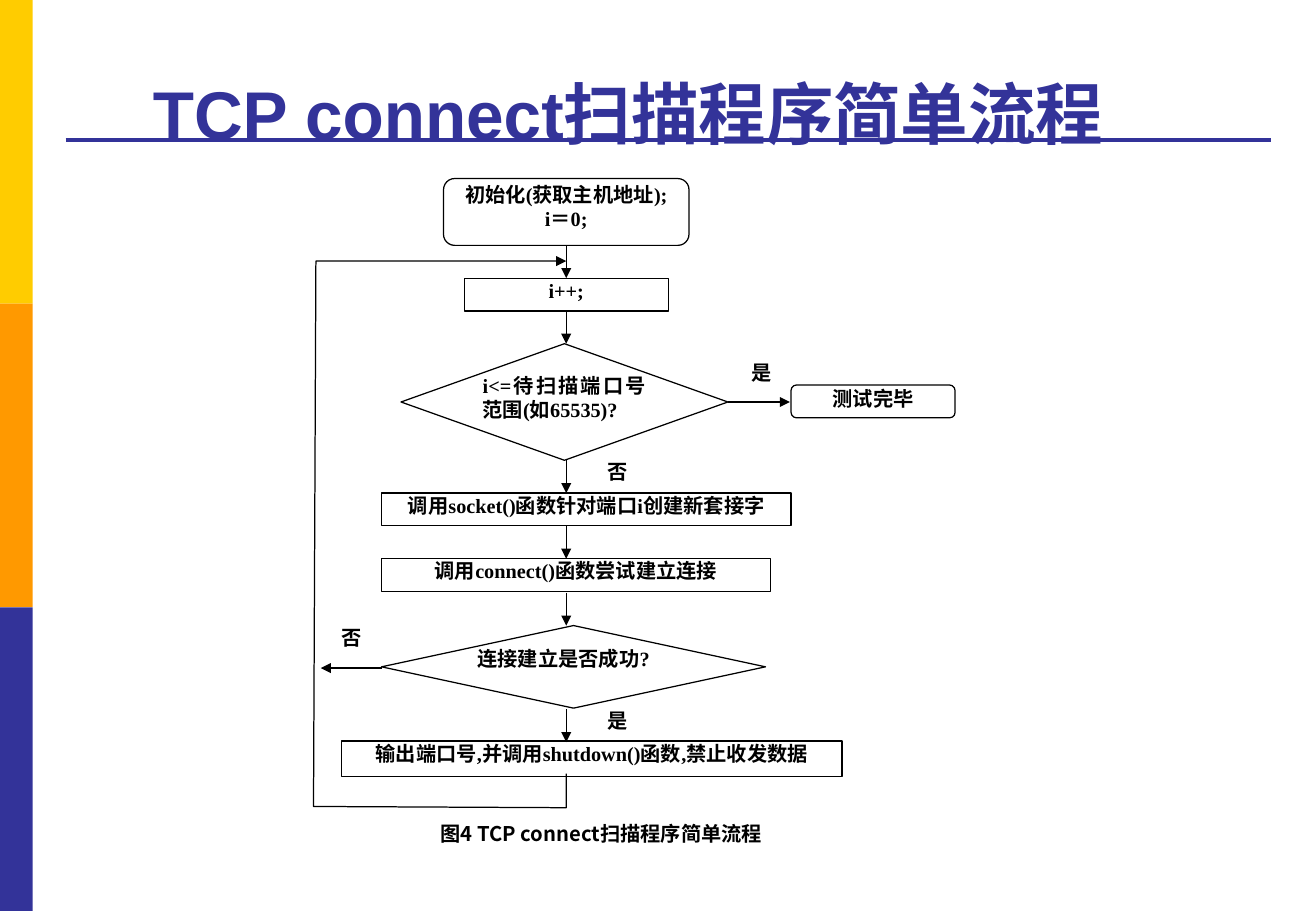
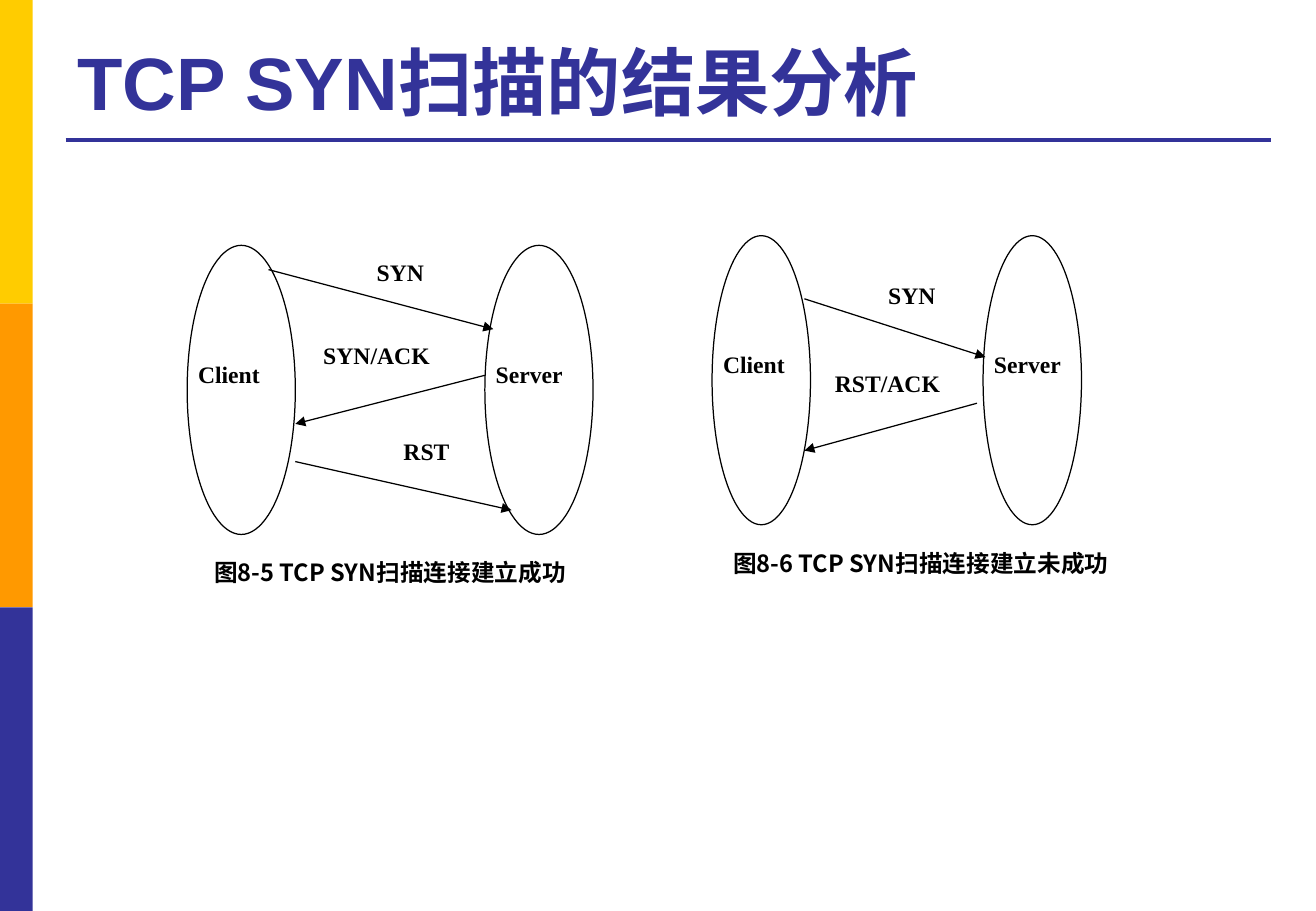
import dataclasses

import pptx
import pptx.dml.color
import pptx.enum.shapes
import pptx.enum.text
import pptx.oxml.ns
import pptx.util
from lxml import etree

Inches = pptx.util.Inches
Pt = pptx.util.Pt
RGB = pptx.dml.color.RGBColor.from_string
SHAPE = pptx.enum.shapes.MSO_SHAPE
ANCHOR = pptx.enum.text.MSO_ANCHOR
ALIGN = pptx.enum.text.PP_ALIGN
qn = pptx.oxml.ns.qn


@dataclasses.dataclass(frozen=True)
class Theme:
    bands: tuple = ("FFCC00", "FF9900", "333399")
    accent: str = "333399"
    ink: str = "000000"
    paper: str = "FFFFFF"
    title_font: str = "Arial"
    node_font: str = "Times New Roman"
    cjk_font: str = "Noto Sans CJK SC"
    flow_title_size: int = 40
    results_title_size: int = 44
    flow_size: int = 12
    exchange_size: int = 14
    thin: float = 0.75
    rule: float = 2.25


class Deck:
    def __init__(self, theme):
        self.theme = theme
        self.file = pptx.Presentation()
        self.file.slide_width = Inches(10.83)
        self.file.slide_height = Inches(7.5)
        self.slide = None

    def new_slide(self, title, box, size):
        theme = self.theme
        self.slide = self.file.slides.add_slide(self.file.slide_layouts[6])
        for order, color in enumerate(theme.bands):
            self.node((0, 2.5 * order, 0.27, 2.5), fill=color, outlined=False)
        self.line((0.54, 1.15), (10.46, 1.15), theme.accent, theme.rule, arrow=False)
        heading = self.slide.shapes.add_textbox(*map(Inches, box))
        self.set_text(heading.text_frame, title, size, theme.title_font, ALIGN.LEFT,
                      theme.accent, {"word_wrap": True, "vertical_anchor": ANCHOR.BOTTOM})

    def set_text(self, frame, text, size, font, align, color, frame_format):
        for name, value in frame_format.items():
            setattr(frame, name, value)
        frame.text = text
        font_format = {"size": Pt(size), "name": font, "bold": True}
        for paragraph in frame.paragraphs:
            paragraph.alignment = align
            for run in paragraph.runs:
                for name, value in font_format.items():
                    setattr(run.font, name, value)
                run.font.color.rgb = RGB(color)
                etree.SubElement(run._r.get_or_add_rPr(), qn("a:ea"),
                                 typeface=self.theme.cjk_font)

    def node(self, box, text="", size=None, kind=SHAPE.RECTANGLE, align=ALIGN.CENTER,
             font=None, fill=None, outlined=True):
        theme = self.theme
        node = self.slide.shapes.add_shape(kind, *map(Inches, box))
        node.shadow.inherit = False
        node.fill.solid()
        node.fill.fore_color.rgb = RGB(fill or theme.paper)
        if outlined:
            self.stroke(node, theme.ink, theme.thin)
        else:
            node.line.fill.background()
        if text:
            margins = ("margin_left", "margin_top", "margin_right", "margin_bottom")
            frame_format = dict.fromkeys(margins, 0)
            frame_format.update(word_wrap=True, vertical_anchor=ANCHOR.TOP)
            self.set_text(node.text_frame, text, size, font or theme.node_font, align,
                          theme.ink, frame_format)

    def label(self, box, text, size, align=ALIGN.CENTER, font=None):
        self.node(box, text, size, align=align, font=font, outlined=False)

    def stroke(self, item, color, width, arrow=False):
        item.line.color.rgb = RGB(color)
        item.line.width = Pt(width)
        if arrow:
            outline = item._element.spPr.find(qn("a:ln"))
            etree.SubElement(outline, qn("a:tailEnd"), type="triangle")

    def line(self, start, end, color=None, width=None, arrow=True):
        line = self.slide.shapes.add_connector(
            pptx.enum.shapes.MSO_CONNECTOR.STRAIGHT, *map(Inches, start + end))
        self.stroke(line, color or self.theme.ink, width or self.theme.thin, arrow)
        etree.SubElement(line._element.spPr, qn("a:effectLst"))

    def loop_back(self, points):
        corners = [(Inches(x), Inches(y)) for x, y in points]
        builder = self.slide.shapes.build_freeform(*corners[0])
        builder.add_line_segments(corners[1:], close=False)
        loop = builder.convert_to_shape()
        loop.shadow.inherit = False
        loop.fill.background()
        self.stroke(loop, self.theme.ink, self.theme.thin, arrow=True)


def scan_flow(deck):
    theme = deck.theme
    size = theme.flow_size
    deck.new_slide("TCP connect扫描程序简单流程", (1.16, 0.21, 8.5, 1.1),
                   theme.flow_title_size)

    for left, top, answer in ((6.01, 2.97, "是"), (4.83, 3.78, "否"),
                              (2.64, 5.15, "否"), (4.83, 5.83, "是")):
        deck.label((left, top, 0.51, 0.27), answer, size)

    rounded = SHAPE.FLOWCHART_ALTERNATE_PROCESS
    steps = (
        ((3.65, 1.47, 2.02, 0.55), "初始化(获取主机地址);\ni＝0;", rounded),
        ((3.82, 2.29, 1.68, 0.27), "i++;", SHAPE.RECTANGLE),
        ((6.51, 3.17, 1.35, 0.27), "测试完毕", rounded),
        ((3.14, 4.06, 3.37, 0.27), "调用socket()函数针对端口i创建新套接字", SHAPE.RECTANGLE),
        ((3.14, 4.6, 3.2, 0.27), "调用connect()函数尝试建立连接", SHAPE.RECTANGLE),
        ((2.81, 6.1, 4.12, 0.29), "输出端口号,并调用shutdown()函数,禁止收发数据",
         SHAPE.RECTANGLE),
    )
    for box, text, kind in steps:
        deck.node(box, text, size, kind)

    decisions = (
        ((3.3, 2.83, 2.69, 0.96), "i<=待扫描端口号范围(如65535)?"),
        ((3.14, 5.15, 3.16, 0.68), "连接建立是否成功?"),
    )
    for box, text in decisions:
        deck.node(box, text, size, SHAPE.FLOWCHART_DECISION, ALIGN.JUSTIFY)

    spine = 4.66
    for top in (2.02, 2.56, 3.79, 4.33, 4.88, 5.84):
        deck.line((spine, top), (spine, top + 0.27))
    deck.line((5.99, 3.31), (6.5, 3.31))
    deck.line((3.14, 5.5), (2.64, 5.5))
    deck.loop_back(((spine, 6.37), (spine, 6.65), (2.58, 6.64), (2.6, 2.15), (spine, 2.15)))
    deck.label((3.35, 6.76, 3.2, 0.27), "图4 TCP connect扫描程序简单流程", size,
               font=theme.cjk_font)


def handshake(deck, hosts, top, host_width, name_width, messages, caption_box, caption):
    theme = deck.theme
    size = theme.exchange_size
    for box, text, _, _ in messages:
        deck.label(box, text, size, ALIGN.JUSTIFY)
    for left, name in zip(hosts, ("Client", "Server")):
        deck.node((left, top, host_width, 2.38), kind=SHAPE.OVAL)
        deck.label((left + 0.09, top + 0.94, name_width, 0.59), name, size, ALIGN.JUSTIFY)
    for _, _, start, end in messages:
        deck.line(start, end)
    deck.label(caption_box, caption, size, font=theme.cjk_font)


def syn_results(deck):
    deck.new_slide("TCP SYN扫描的结果分析", (0.54, 0.21, 9.91, 0.87),
                   deck.theme.results_title_size)
    accepted = (
        ((3.1, 2.12, 0.59, 0.4), "SYN", (2.21, 2.22), (4.06, 2.71)),
        ((2.66, 2.81, 1.11, 0.4), "SYN/ACK", (3.99, 3.09), (2.43, 3.49)),
        ((3.32, 3.6, 0.59, 0.4), "RST", (2.43, 3.8), (4.21, 4.2)),
    )
    refused = (
        ((7.31, 2.31, 0.54, 0.4), "SYN", (6.62, 2.46), (8.11, 2.94)),
        ((6.87, 3.04, 1.02, 0.4), "RST/ACK", (8.04, 3.32), (6.62, 3.71)),
    )
    handshake(deck, (1.54, 3.99), 2.02, 0.89, 0.67, accepted,
              (1.32, 4.59, 3.78, 0.5), "图8-5 TCP SYN扫描连接建立成功")
    handshake(deck, (5.86, 8.09), 1.94, 0.81, 0.61, refused,
              (5.65, 4.52, 3.86, 0.5), "图8-6 TCP SYN扫描连接建立未成功")


def main():
    deck = Deck(Theme())
    scan_flow(deck)
    syn_results(deck)
    deck.file.save("out.pptx")


if __name__ == "__main__":
    main()
